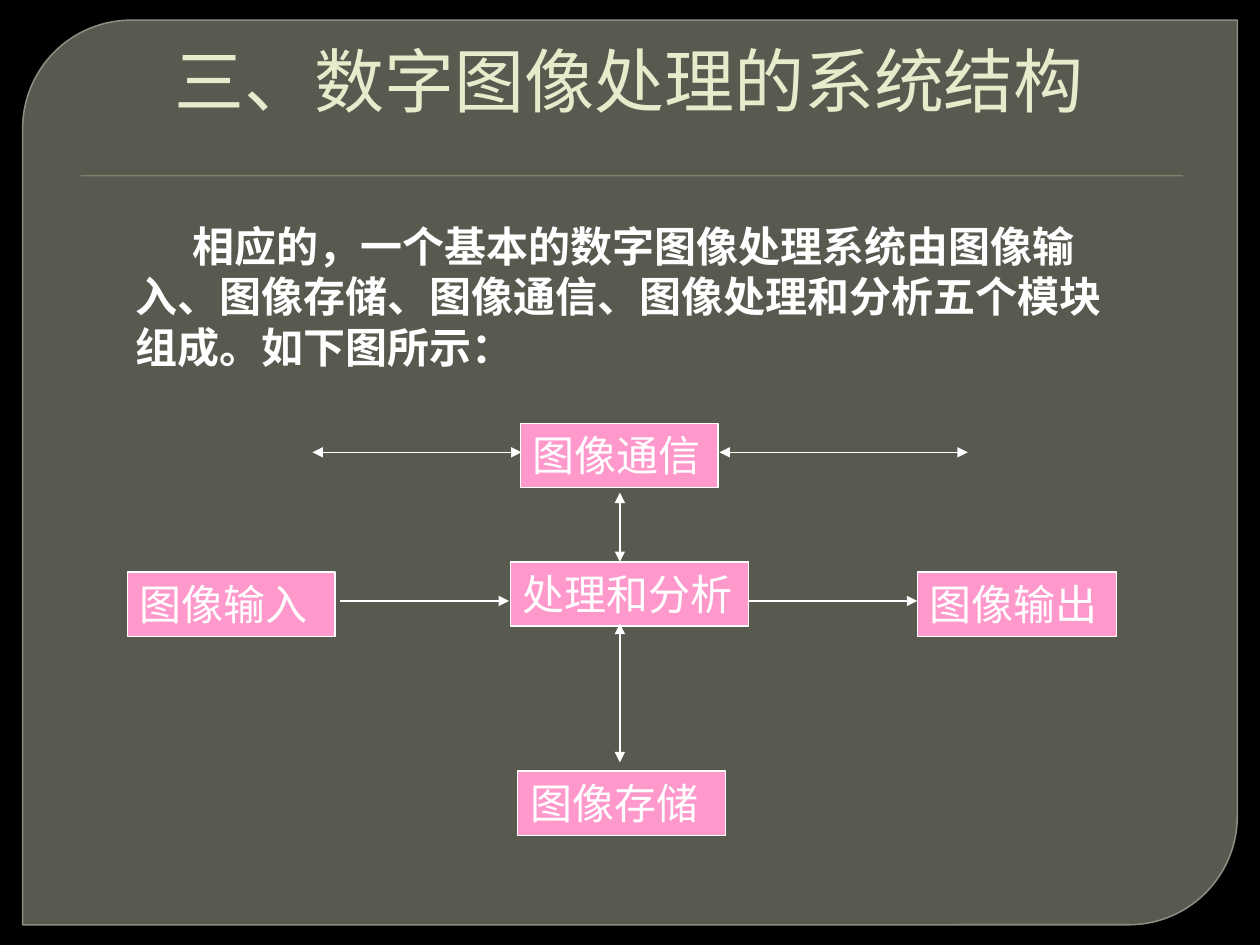
from lxml import etree
from pptx import Presentation
from pptx import util as u
from pptx.dml import color
from pptx.enum import shapes, text
from pptx.oxml import ns


def rgb(value):
    return color.RGBColor.from_string(value)


class SlideBuilder:
    """Holds the style and the current slide, and draws each kind of element."""

    body_font, title_font = "Roboto", "Noto Sans CJK SC"
    white, pink, cream = "FFFFFF", "FF99CC", "E7EACB"
    box_height = 0.51

    def __init__(self, presentation):
        self.slide = presentation.slides.add_slide(presentation.slide_layouts[6])

    def background(self, fill):
        self.slide.background.fill.solid()
        self.slide.background.fill.fore_color.rgb = rgb(fill)

    def shape(self, kind, left, top, width, height, fill, line=None, line_width=0.75):
        shape = self.slide.shapes.add_shape(kind, *map(u.Inches, (left, top, width, height)))
        shape.shadow.inherit = False
        shape.fill.solid()
        shape.fill.fore_color.rgb = rgb(fill)
        if line:
            shape.line.color.rgb = rgb(line)
            shape.line.width = u.Pt(line_width)
        else:
            shape.line.fill.background()
        return shape

    def add_words(self, shape, words, size, font, ink, bold=False,
                  align=text.PP_ALIGN.LEFT, indent=0):
        frame = shape.text_frame
        frame.word_wrap = True
        frame.vertical_anchor = text.MSO_ANCHOR.TOP
        paragraph = frame.paragraphs[0]
        paragraph.alignment = align
        if indent:
            paragraph._p.get_or_add_pPr().set("indent", str(u.Inches(indent)))
        run = paragraph.add_run()
        run.text = words
        run.font.size = u.Pt(size)
        run.font.bold = bold
        run.font.name = font
        run.font.color.rgb = rgb(ink)
        properties = run._r.get_or_add_rPr()
        properties.set("lang", "zh-CN")
        etree.SubElement(properties, ns.qn("a:ea")).set("typeface", font)

    def text_box(self, left, top, width, height, *words, **style):
        box = self.slide.shapes.add_textbox(*map(u.Inches, (left, top, width, height)))
        self.add_words(box, *words, **style)

    def module(self, left, top, width, label):
        box = self.shape(shapes.MSO_SHAPE.RECTANGLE, left, top, width, self.box_height,
                         self.pink, self.white)
        self.add_words(box, label, 24, self.body_font, self.white)

    def arrow(self, start, end, both=True):
        arrow = self.slide.shapes.add_connector(
            shapes.MSO_CONNECTOR.STRAIGHT, *map(u.Inches, (*start, *end)))
        arrow.line.color.rgb = rgb(self.white)
        arrow.line.width = u.Pt(0.75)
        line = arrow._element.spPr.find(ns.qn("a:ln"))
        for tag in ("a:headEnd", "a:tailEnd") if both else ("a:tailEnd",):
            etree.SubElement(line, ns.qn(tag)).set("type", "triangle")
        etree.SubElement(arrow._element.spPr, ns.qn("a:effectLst"))


def main():
    presentation = Presentation()
    presentation.slide_width, presentation.slide_height = u.Inches(10), u.Inches(7.5)
    builder = SlideBuilder(presentation)
    builder.background("000000")

    panel = builder.shape(shapes.MSO_SHAPE.ROUND_2_DIAG_RECTANGLE, 0.18, 0.16, 9.64, 7.18,
                          "585A50", "8B8D80", 0.87)
    panel.adjustments[0], panel.adjustments[1] = 0.12, 0
    builder.shape(shapes.MSO_SHAPE.RECTANGLE, 0.64, 1.39, 8.75, 0.01, "80836A")

    builder.text_box(0.2, 0.25, 9.53, 1.25, "三、数字图像处理的系统结构", 40,
                     builder.title_font, builder.cream, align=text.PP_ALIGN.CENTER, indent=0.06)
    builder.text_box(0.98, 1.7, 7.88, 1.31,
                     "相应的，一个基本的数字图像处理系统由图像输入、图像存储、图像通信、"
                     "图像处理和分析五个模块组成。如下图所示：",
                     24, builder.body_font, builder.white, bold=True, indent=0.45)

    for module in (
        (4.13, 3.36, 1.57, "图像通信"),
        (1.01, 4.54, 1.65, "图像输入"),
        (4.05, 4.46, 1.89, "处理和分析"),
        (7.28, 4.54, 1.58, "图像输出"),
        (4.11, 6.12, 1.65, "图像存储"),
    ):
        builder.module(*module)

    center, link_row, flow_row = 4.92, 3.59, 4.77
    for start, end in ((2.7, 4.04), (5.94, 7.28)):
        builder.arrow((start, flow_row), (end, flow_row), both=False)
    for start, end in ((4.95, 6.05), (3.91, 4.46)):
        builder.arrow((center, start), (center, end))
    for start, end in ((5.71, 7.68), (2.48, 4.14)):
        builder.arrow((start, link_row), (end, link_row))

    presentation.save("out.pptx")


if __name__ == "__main__":
    main()
